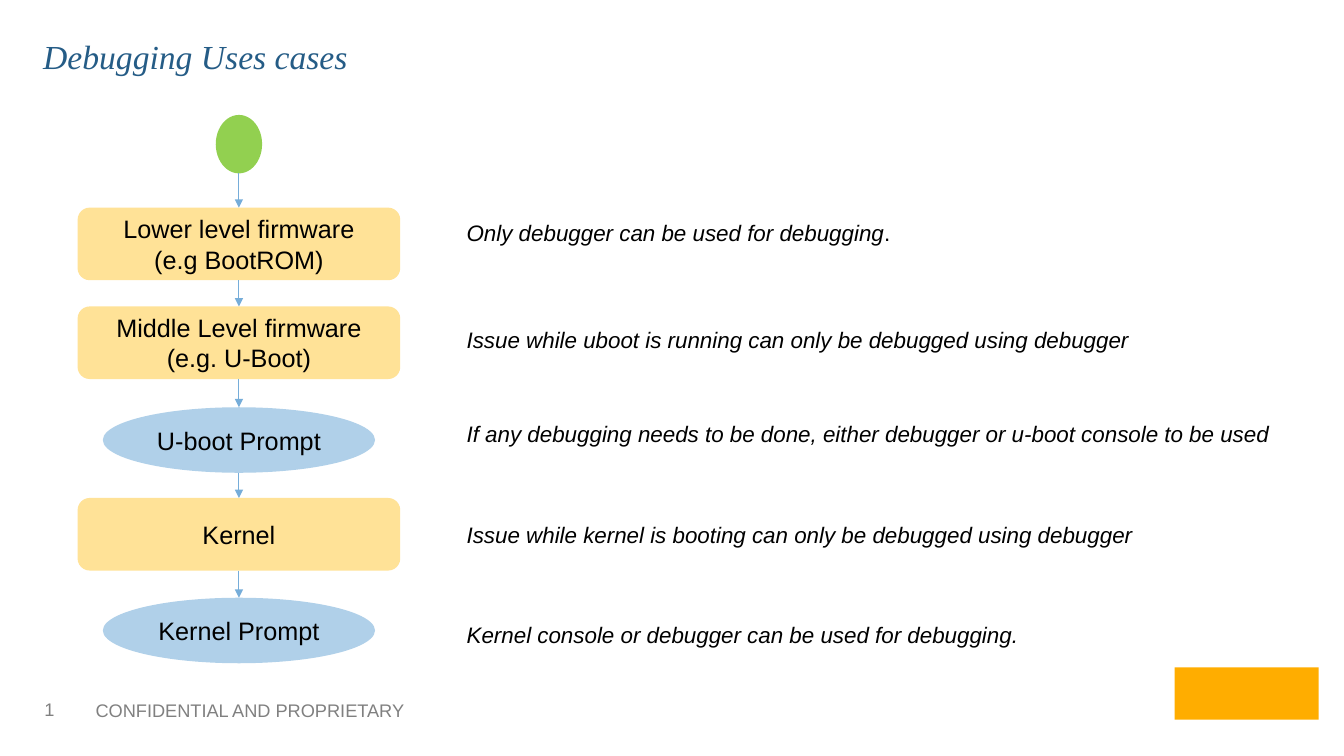
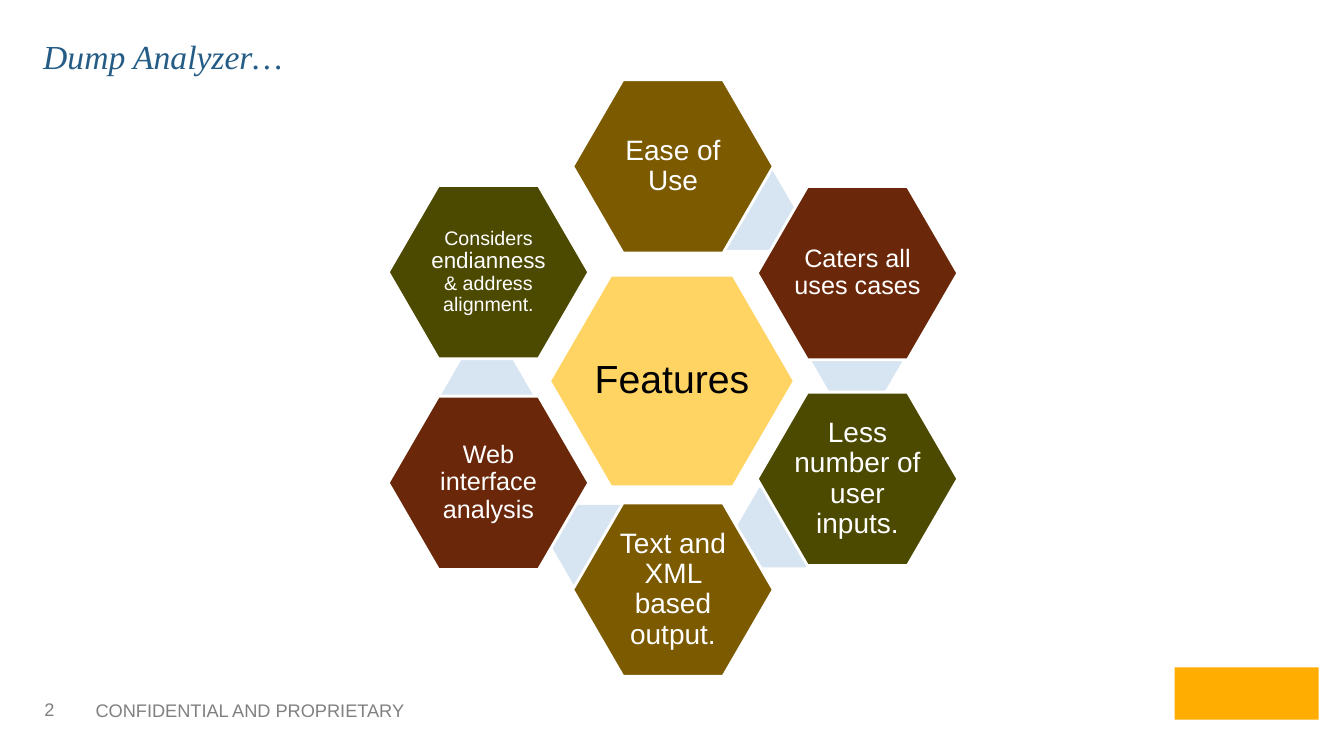
import pptx
import pptx.dml.color
import pptx.enum.shapes
import pptx.enum.text
import pptx.oxml
import pptx.oxml.ns
import pptx.util
from lxml import etree

PX = 9144  # 100 px to the inch
PAGE_WIDTH, PAGE_HEIGHT = 1333, 750

RGBColor = pptx.dml.color.RGBColor
BLACK = RGBColor(0x00, 0x00, 0x00)
WHITE = RGBColor(0xFF, 0xFF, 0xFF)
TITLE_BLUE = RGBColor(0x25, 0x5C, 0x86)
FOOTER_GREY = RGBColor(0x80, 0x80, 0x80)
BADGE_ORANGE = RGBColor(0xFF, 0xAD, 0x00)
START_GREEN = RGBColor(0x92, 0xD0, 0x50)
STAGE_YELLOW = RGBColor(0xFF, 0xE2, 0x97)
PROMPT_BLUE = RGBColor(0xB0, 0xD0, 0xE9)
ARROW_BLUE = RGBColor(0x76, 0xAD, 0xD9)
HUB_YELLOW = RGBColor(0xFF, 0xD4, 0x62)
PALE_BLUE = RGBColor(0xD7, 0xE4, 0xF1)
BROWN = RGBColor(0x7C, 0x5A, 0x00)
RUST = RGBColor(0x6A, 0x27, 0x09)
OLIVE = RGBColor(0x4C, 0x49, 0x00)

BODY_FONT = "Arial"
TITLE_FONT = "Times New Roman"

SHAPES = pptx.enum.shapes.MSO_SHAPE
ANCHOR = pptx.enum.text.MSO_ANCHOR
ALIGN = pptx.enum.text.PP_ALIGN

# Flow from power-on to the kernel prompt: kind, top, text
FLOW_CENTER = 237
FLOW_KINDS = {  # shape, width, height, fill
    "start": (SHAPES.OVAL, 46, 58, START_GREEN),
    "stage": (SHAPES.ROUNDED_RECTANGLE, 320, 72, STAGE_YELLOW),
    "prompt": (SHAPES.OVAL, 270, 65, PROMPT_BLUE),
}
FLOW = [
    ("start", 114, ""),
    ("stage", 206, "Lower level firmware\n(e.g BootROM)"),
    ("stage", 304, "Middle Level firmware\n(e.g. U-Boot)"),
    ("prompt", 404, "U-boot Prompt"),
    ("stage", 494, "Kernel"),
    ("prompt", 593, "Kernel Prompt"),
]

# Notes beside the flow: top, text
NOTES = [
    (212, "Only debugger can be used for debugging"),
    (319, "Issue while uboot is running can only be debugged using debugger"),
    (412, "If any debugging needs to be done, either debugger or u-boot console to be used"),
    (512, "Issue while kernel is booting can only be debugged using debugger"),
    (611, "Kernel console or debugger can be used for debugging."),
]

# Feature ring, clockwise: column, top, fill, spans, left and top of the pale link
RING_LEFT, RING_STEP = 568, 183
PETALS = [
    (0, 79, BROWN, [("Ease of Use", 20)], (697, 169)),
    (1, 185, RUST, [("Caters all uses cases", 18)], (804, 317)),
    (1, 389, OLIVE, [("Less number of user inputs.", 20)], (730, 484)),
    (0, 499, BROWN, [("Text and XML based output.", 20)], (546, 501)),
    (-1, 393, RUST, [("Web interface analysis", 18)], (437, 353)),
    (-1, 184, OLIVE,
     [("Considers ", 14), ("endianness", 16), (" & address alignment.", 14)], None),
]


def px(*lengths):
    return [pptx.util.Emu(length * PX) for length in lengths]


def format_span(span, size, color, italic=False, font=BODY_FONT):
    span.font.size = pptx.util.Pt(size)
    span.font.name = font
    span.font.italic = italic
    span.font.color.rgb = color


def write(shape, text, size, color, align=ALIGN.LEFT, italic=False, font=BODY_FONT):
    frame = shape.text_frame
    frame.word_wrap = True
    frame.text = text
    for para in frame.paragraphs:
        para.alignment = align
        for span in para.runs:
            format_span(span, size, color, italic, font)


def add_span(para, text, size, color):
    span = para.add_run()
    span.text = text
    format_span(span, size, color)


def set_insets(frame, side, upright):
    frame.margin_left, frame.margin_right = px(side, side)
    frame.margin_top, frame.margin_bottom = px(upright, upright)


def add_label(page, box, text, size, color, **style):
    label = page.shapes.add_textbox(*px(*box))
    write(label, text, size, color, **style)
    return label


def add_block(page, kind, box, fill, outline=None):
    block = page.shapes.add_shape(kind, *px(*box))
    block.shadow.inherit = False
    block.fill.solid()
    block.fill.fore_color.rgb = fill
    if outline is None:
        block.line.fill.background()
    else:
        block.line.color.rgb = outline
        block.line.width = pptx.util.Pt(2)
    return block


def add_hexagon(page, box, fill, spans=(), color=WHITE, inset=3):
    hexagon = add_block(page, SHAPES.HEXAGON, box, fill, WHITE if spans else None)
    hexagon.adjustments[0] = 0.29
    frame = hexagon.text_frame
    frame.word_wrap = True
    frame.vertical_anchor = ANCHOR.MIDDLE
    set_insets(frame, inset, inset)
    para = frame.paragraphs[0]
    para.alignment = ALIGN.CENTER
    para.line_spacing = 0.9
    for text, size in spans:
        add_span(para, text, size, color)


def add_arrow(page, upper, lower):
    center = upper.left + upper.width // 2
    arrow = page.shapes.add_connector(
        pptx.enum.shapes.MSO_CONNECTOR.STRAIGHT,
        center, upper.top + upper.height, center, lower.top)
    # Ovals number their joins differently at the bottom
    if upper.auto_shape_type == SHAPES.ROUNDED_RECTANGLE:
        arrow.begin_connect(upper, 2)
    arrow.end_connect(lower, 0)
    arrow.line.color.rgb = ARROW_BLUE
    arrow.line.width = pptx.util.Pt(0.75)
    qn = pptx.oxml.ns.qn
    etree.SubElement(arrow.line._get_or_add_ln(), qn("a:tailEnd"), type="triangle")
    etree.SubElement(arrow._element.spPr, qn("a:effectLst"))


def add_page_number(page, number):
    label = add_label(page, (37, 689, 65, 30), str(number), 13, FOOTER_GREY)
    label.text_frame.vertical_anchor = ANCHOR.MIDDLE
    set_insets(label.text_frame, 7, 4)
    # Turn the plain run into a slide number field
    field = label.text_frame.paragraphs[0].runs[0]._r
    field.tag = pptx.oxml.ns.qn("a:fld")
    field.set("id", "{B6F15528-21DE-4FAA-801E-634DDDAF4B2B}")
    field.set("type", "slidenum")


def add_page(deck, title):
    page = deck.slides.add_slide(deck.slide_layouts[6])
    add_label(page, (85, 689, 398, 34), "CONFIDENTIAL AND PROPRIETARY", 13, FOOTER_GREY)
    add_page_number(page, len(deck.slides))
    add_block(page, SHAPES.RECTANGLE, (1165, 662, 143, 52), BADGE_ORANGE)
    add_label(page, (33, 31, 1275, 72), title, 24, TITLE_BLUE,
              italic=True, font=TITLE_FONT)
    return page


def build_use_cases(deck):
    page = add_page(deck, "Debugging Uses cases")

    # Flow chart
    previous = None
    for kind, top, text in FLOW:
        shape, width, height, fill = FLOW_KINDS[kind]
        step = add_block(page, shape, (FLOW_CENTER - width // 2, top, width, height), fill)
        step.text_frame.vertical_anchor = ANCHOR.MIDDLE
        if text:
            write(step, text, 18, BLACK, align=ALIGN.CENTER)
        if previous is not None:
            add_arrow(page, previous, step)
        previous = step

    # Notes, the first closed by an upright full stop
    labels = [add_label(page, (453, top, 832, 50), text, 16, BLACK, italic=True)
              for top, text in NOTES]
    add_span(labels[0].text_frame.paragraphs[0], ".", 16, BLACK)


def build_features(deck):
    page = add_page(deck, "Dump Analyzer…")
    add_hexagon(page, (545, 273, 243, 210), HUB_YELLOW, [("Features", 28)], BLACK, 4)

    # Each pale link lies behind the petals it joins
    for column, top, fill, spans, link in PETALS:
        if link:
            add_hexagon(page, (*link, 92, 79), PALE_BLUE)
        left = RING_LEFT + column * RING_STEP
        add_hexagon(page, (left, top, 199, 172), fill, spans)


def main():
    deck = pptx.Presentation()
    deck.slide_width, deck.slide_height = px(PAGE_WIDTH, PAGE_HEIGHT)
    build_use_cases(deck)
    build_features(deck)
    deck.save("out.pptx")


if __name__ == "__main__":
    main()
